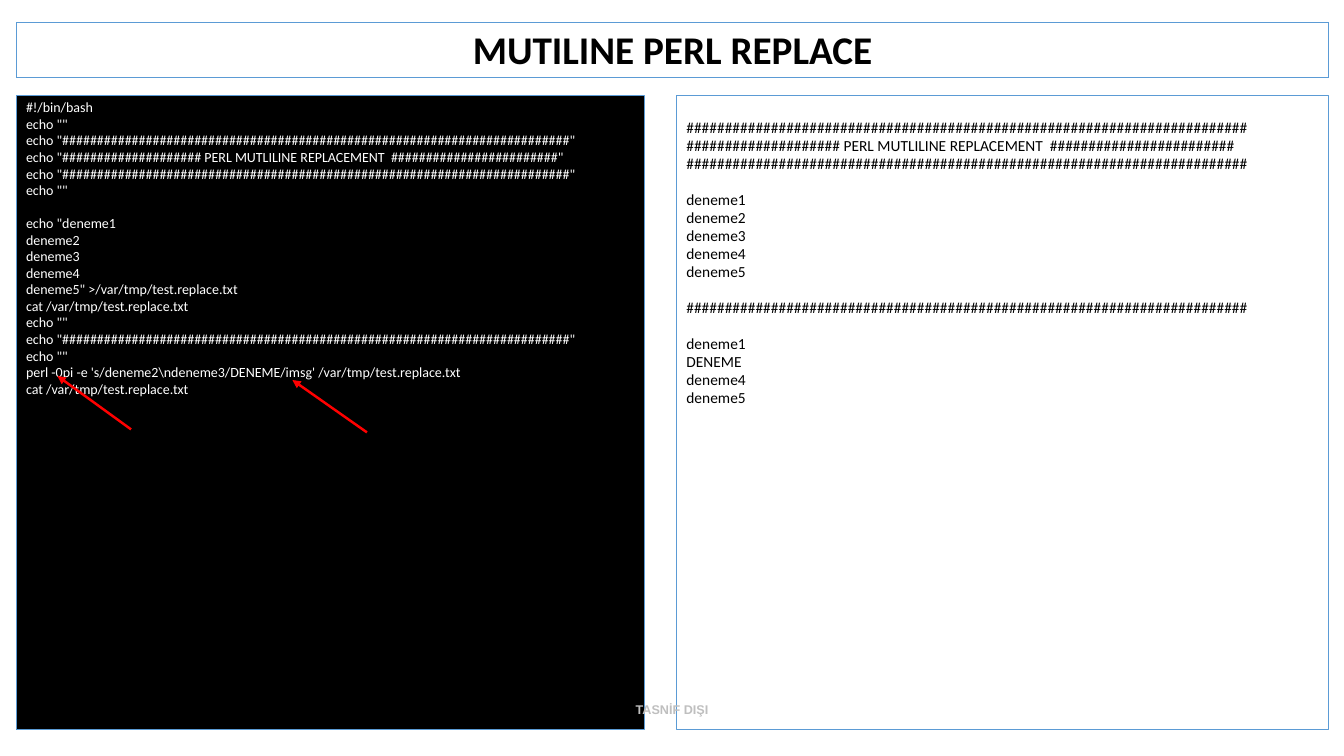
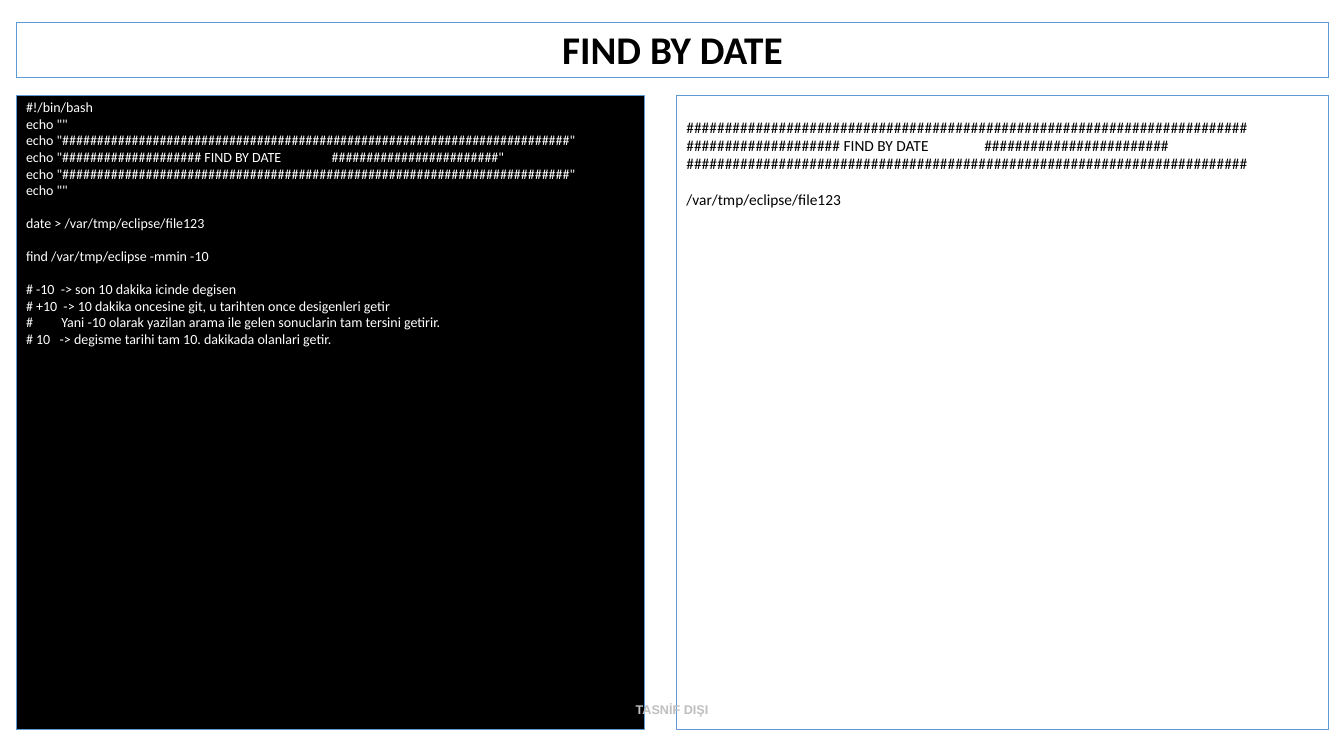
import pptx
import pptx.dml.color
import pptx.enum.shapes
import pptx.enum.text
import pptx.oxml
import pptx.oxml.ns
import pptx.util

Inches = pptx.util.Inches
Pt = pptx.util.Pt
Align = pptx.enum.text.PP_ALIGN
Anchor = pptx.enum.text.MSO_ANCHOR

COLORS = {
    "outline": "5B9BD5",
    "terminal": "000000",
    "terminal_text": "FFFFFF",
    "text": "000000",
    "arrow": "FF0000",
    "footer": "BFBFBF",
}
LEFT, WIDTH = 0.16, 13.02
PANEL_TOP, PANEL_HEIGHT = 0.95, 6.29
LINE_SPACING = 0.9
HASH_RULE = "#" * 73


def rgb(name):
    return pptx.dml.color.RGBColor.from_string(COLORS[name])


def banner(name):
    """Three lines of hashes with a name in the middle one."""
    return [HASH_RULE, f"{'#' * 20} {name:<28}{'#' * 24}", HASH_RULE]


def script_header(name):
    echoes = [f'echo "{line}"' for line in banner(name)]
    return ["#!/bin/bash", 'echo ""', *echoes, 'echo ""']


def write_text(frame, lines, size, color, font="Calibri", bold=False,
               align=Align.LEFT, anchor=Anchor.TOP, top_inset=0.05):
    """Write one paragraph per line; an empty line becomes space before the next."""
    frame.word_wrap = True
    frame.auto_size = pptx.enum.text.MSO_AUTO_SIZE.NONE
    frame.vertical_anchor = anchor
    frame.margin_left = frame.margin_right = Inches(0.1)
    frame.margin_top, frame.margin_bottom = Inches(top_inset), Inches(0.05)
    paragraph, gap = frame.paragraphs[0], 0
    for line in lines:
        if not line:
            gap += round(size * 1.1 + 0.8, 1)
            continue
        if paragraph.text:
            paragraph = frame.add_paragraph()
            paragraph.space_before = Pt(1 + gap)
        gap = 0
        paragraph.text = line
        paragraph.alignment = align
        paragraph.line_spacing = LINE_SPACING
        paragraph.font.name = font
        paragraph.font.size = Pt(size)
        paragraph.font.bold = bold
        paragraph.font.color.rgb = rgb(color)


class ScriptDeck:
    """Holds the shared style and the current slide."""

    def __init__(self):
        self.deck = pptx.Presentation()
        self.deck.slide_width = Inches(13.33)
        self.deck.slide_height = Inches(7.5)
        self.page = None

    def outline(self, shape):
        shape.line.color.rgb = rgb("outline")
        shape.line.width = Pt(0)

    def add_page(self, title):
        self.page = self.deck.slides.add_slide(self.deck.slide_layouts[5])
        heading = self.page.shapes.title
        heading.left, heading.top = Inches(LEFT), Inches(0.22)
        heading.width, heading.height = Inches(WIDTH), Inches(0.55)
        self.outline(heading)
        write_text(heading.text_frame, [title], 28, "text", bold=True,
                   align=Align.CENTER, anchor=Anchor.BOTTOM)

    def panel(self, left, width, lines, size, color, fill=None, top_inset=0.05):
        box = self.page.shapes.add_shape(
            pptx.enum.shapes.MSO_SHAPE.RECTANGLE, Inches(left),
            Inches(PANEL_TOP), Inches(width), Inches(PANEL_HEIGHT))
        box.shadow.inherit = False
        if fill:
            box.fill.solid()
            box.fill.fore_color.rgb = rgb(fill)
        else:
            box.fill.background()
        self.outline(box)
        write_text(box.text_frame, lines, size, color, top_inset=top_inset)

    def script(self, lines):
        self.panel(LEFT, 6.23, lines, 10, "terminal_text", fill="terminal")

    def output(self, lines):
        self.panel(6.71, 6.47, lines, 11, "text", top_inset=0.24)

    def arrow(self, start, end):
        line = self.page.shapes.add_connector(
            pptx.enum.shapes.MSO_CONNECTOR.STRAIGHT,
            *(Inches(value) for value in (*start, *end)))
        line.line.color.rgb = rgb("arrow")
        line.line.width = Pt(1.75)
        tip = pptx.oxml.parse_xml(
            f'<a:tailEnd {pptx.oxml.ns.nsdecls("a")} type="triangle"/>')
        line.line._get_or_add_ln().append(tip)
        line._element.spPr.append(pptx.oxml.parse_xml(
            f'<a:effectLst {pptx.oxml.ns.nsdecls("a")}/>'))

    def footer(self):
        box = self.page.shapes.add_textbox(
            Inches(0), Inches(6.9), self.deck.slide_width, Inches(0.3))
        write_text(box.text_frame, ["TASNİF DIŞI"], 9, "footer", font="Arial",
                   bold=True, align=Align.CENTER, anchor=Anchor.MIDDLE)


def main():
    slides = ScriptDeck()

    # Multiline replacement
    name = "PERL MUTLILINE REPLACEMENT"
    slides.add_page("MUTILINE PERL REPLACE")
    slides.script([
        *script_header(name),
        "",
        'echo "deneme1',
        "deneme2",
        "deneme3",
        "deneme4",
        'deneme5" >/var/tmp/test.replace.txt',
        "cat /var/tmp/test.replace.txt",
        'echo ""',
        f'echo "{HASH_RULE}"',
        'echo ""',
        r"perl -0pi -e 's/deneme2\ndeneme3/DENEME/imsg' /var/tmp/test.replace.txt",
        "cat /var/tmp/test.replace.txt",
    ])
    slides.output([
        *banner(name),
        "",
        *(f"deneme{number}" for number in range(1, 6)),
        "",
        HASH_RULE,
        "",
        "deneme1",
        "DENEME",
        "deneme4",
        "deneme5",
    ])
    # Arrows to the command's switches and flags
    slides.arrow((1.3, 4.26), (0.57, 3.73))
    slides.arrow((3.64, 4.29), (2.9, 3.77))
    slides.footer()

    # Find by date
    name = "FIND BY DATE"
    slides.add_page(name)
    slides.script([
        *script_header(name),
        "",
        "date > /var/tmp/eclipse/file123",
        "",
        "find /var/tmp/eclipse -mmin -10",
        "",
        "# -10  -> son 10 dakika icinde degisen",
        "# +10  -> 10 dakika oncesine git, u tarihten once desigenleri getir",
        "#         Yani -10 olarak yazilan arama ile gelen sonuclarin tam tersini getirir.",
        "# 10   -> degisme tarihi tam 10. dakikada olanlari getir.",
    ])
    slides.output([*banner(name), "", "/var/tmp/eclipse/file123"])
    slides.footer()

    slides.deck.save("out.pptx")


if __name__ == "__main__":
    main()
